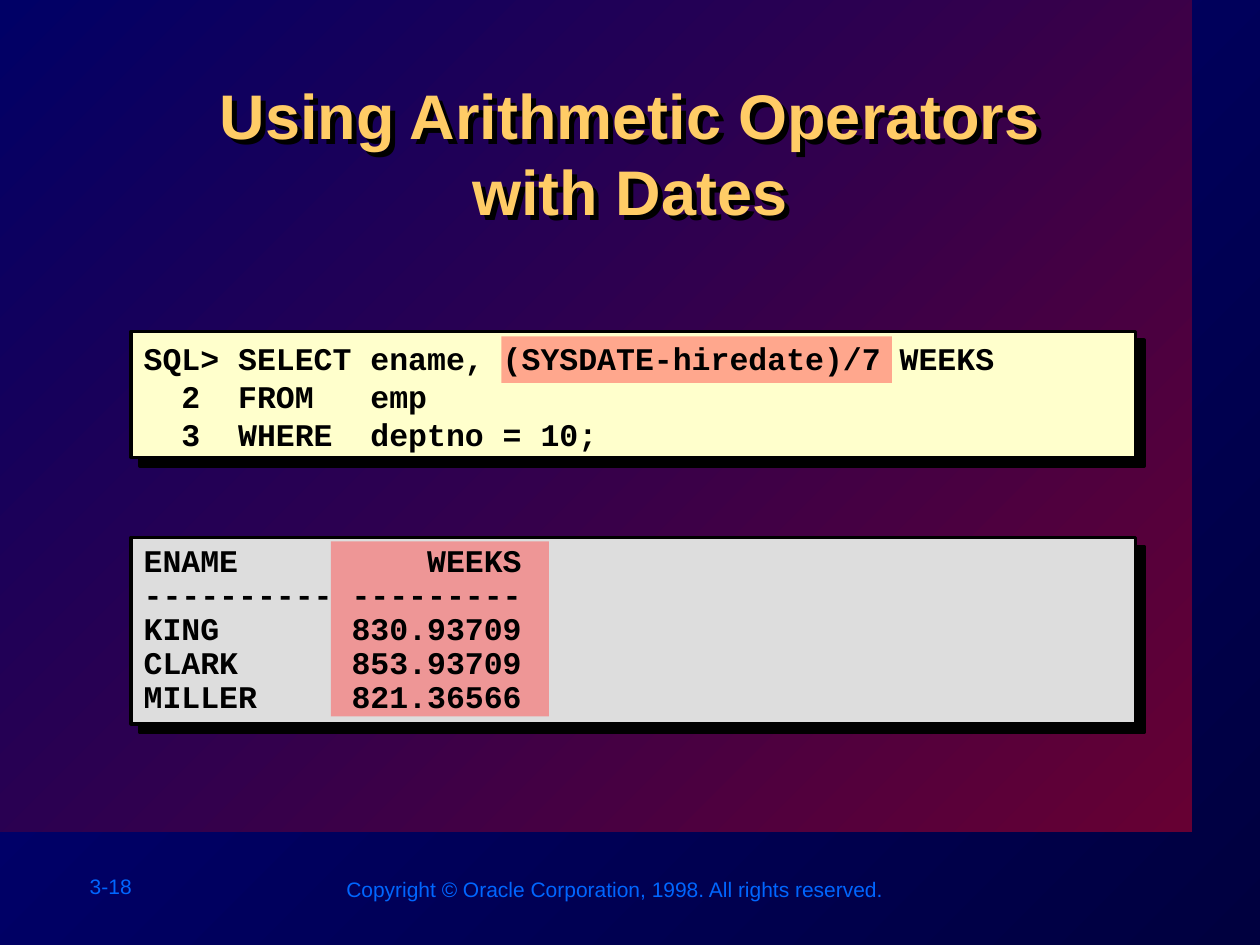
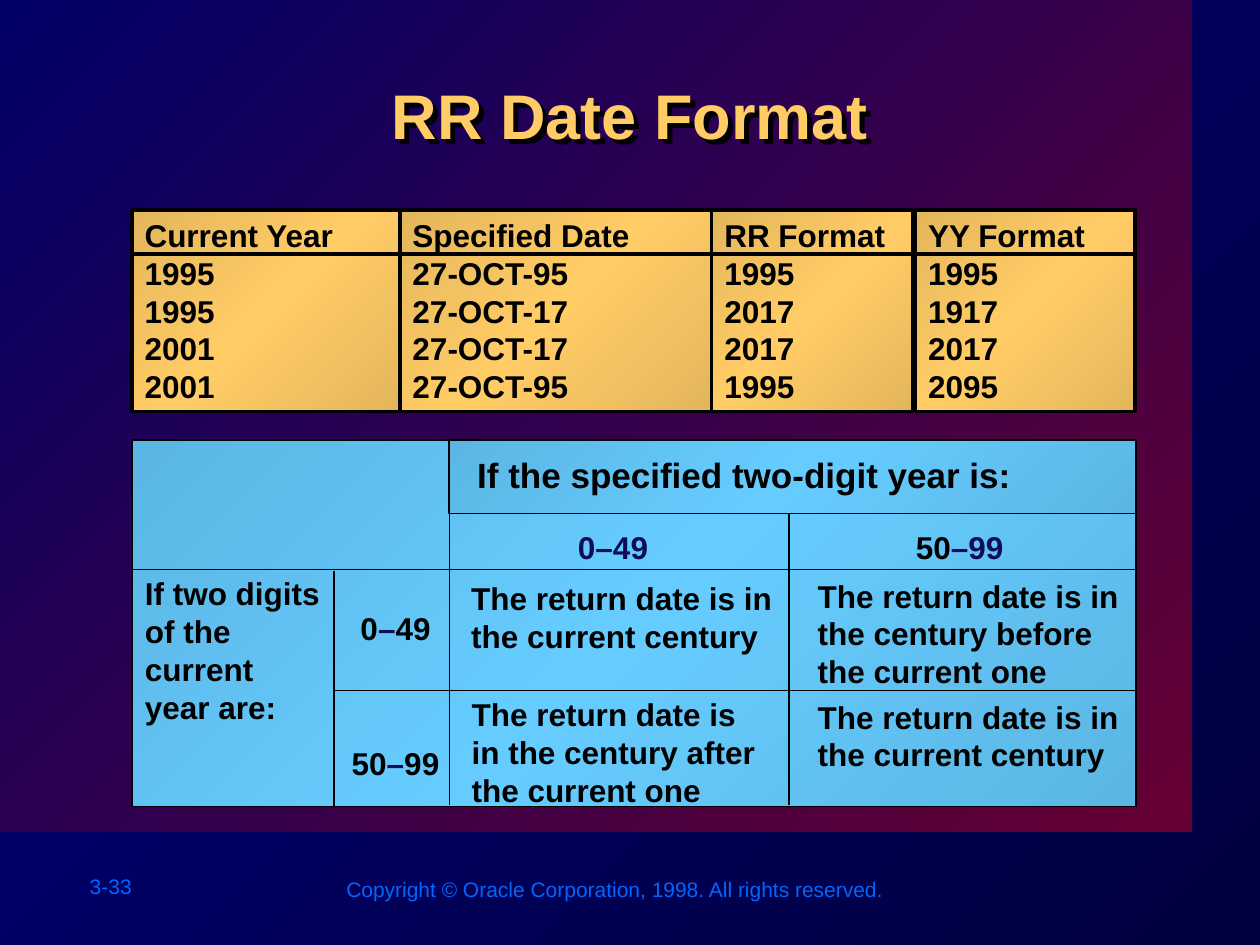
from lxml import etree
from pptx import Presentation
from pptx import util as u
from pptx.dml.color import RGBColor
from pptx.enum import shapes, text
from pptx.oxml.ns import qn

SANS, MONO = "Arial", "Courier New"
BLACK, NAVY, GOLD, FOOTER = "000000", "0E0E58", "FFCC66", "0066FF"
CREAM, GREY, HIGHLIGHT = "FFFFCC", "DDDDDD", "FF5050"
BACKDROP = ("00003F", "000080")
BAND = ("660033", "000066")
GOLD_PANEL = ("E4B65B", "FFCC66", "E4B65B")
BLUE_PANEL = ("5BB6E4", "66CCFF", "5BB6E4")
NO_STYLE = "{2D5ABB26-0587-4C30-8999-92F81FD0307C}"
LEADING = 1.2

COPYRIGHT = "Copyright © Oracle Corporation, 1998. All rights reserved."

QUERY = [
    "SQL> SELECT ename, (SYSDATE-hiredate)/7 WEEKS",
    "  2  FROM   emp",
    "  3  WHERE  deptno = 10;",
]
RESULT = [
    "ENAME          WEEKS",
    "---------- ---------",
    "KING       830.93709",
    "CLARK      853.93709",
    "MILLER     821.36566",
]
# box (left, top, width, height), fill, highlight, text top, line spacing, lines
LISTINGS = [
    ((75, 189.4, 573.8, 72), CREAM, (286.5, 192.2, 223.2, 26.6), 190.3, 1, QUERY),
    ((75, 307.2, 573.8, 106.5), GREY, (189.1, 309.3, 124.6, 100.1), 307.6, 0.9, RESULT),
]

YEARS = [
    ("Current Year", "Specified Date", "RR Format", "YY Format"),
    ("1995", "27-OCT-95", "1995", "1995"),
    ("1995", "27-OCT-17", "2017", "1917"),
    ("2001", "27-OCT-17", "2017", "2017"),
    ("2001", "27-OCT-95", "1995", "2095"),
]
YEARS_LEFT, YEARS_TOP, YEARS_HEIGHT = 75.4, 120, 115.1
YEARS_COLS = (153.1, 178.2, 116.5, 125.3)
YEARS_ROWS = (25.2,) + (21.6,) * 4
DOUBLE_RULE_GAP = 1.6
HEADER_RULE = (74.9, 145.2, 649.2, 145.2)

RULES_LEFT, RULES_TOP, RULES_HEIGHT = 75.6, 251.3, 209.6
RULES_COLS = (115.2, 66, 193.9, 198.7)
RULES_ROWS = (42.2, 32, 69.2, 67.9)
RULES_MERGES = [((0, 0), (1, 1)), ((0, 2), (0, 3)), ((2, 0), (3, 0))]
SAME = "The return date is in the current century"
AFTER = "The return date is in the century after the current one"
BEFORE = "The return date is in the century before the current one"
# (row, column): (runs, size, (left, top, right) margins)
RULES = {
    (0, 2): ([("If the specified two-digit year is:", BLACK)], 20, (15.9, 7.9, 0)),
    (1, 2): ([("0–49", NAVY)], 18, (73.5, 8.2, 0)),
    (1, 3): ([("50", BLACK), ("–99", NAVY)], 18, (72.7, 8.2, 0)),
    (2, 0): ([("If two digits of the current \vyear are:", BLACK)], 18, (7.2, 2.9, 0)),
    (2, 1): ([("0", BLACK), ("–", NAVY), ("49", BLACK)], 18, (15.2, 22.8, 0)),
    (3, 1): ([("50", BLACK), ("–", NAVY), ("99", BLACK)], 18, (10.2, 30.9, 0)),
    (2, 2): ([(SAME, BLACK)], 18, (12.5, 5.8, 2)),
    (2, 3): ([(BEFORE, BLACK)], 18, (16.6, 4.3, 2)),
    (3, 2): ([(AFTER, BLACK)], 18, (12.7, 2.9, 12.5)),
    (3, 3): ([(SAME, BLACK)], 18, (16.6, 4.2, 2)),
}
# x and y of both ends
RULES_LINES = [
    (649.4, 325.4, 74.9, 325.4),
    (190.8, 326.2, 190.8, 461.5),
    (450.7, 293.5, 450.7, 460.1),
    (256.8, 280.8, 256.8, 460.1),
    (191.5, 394.6, 649.4, 394.6),
]


def rgb(value):
    return RGBColor.from_string(value)


def pts(values):
    return [u.Pt(v) for v in values]


def sub(parent, tag, **attrs):
    return etree.SubElement(parent, qn(tag), {k: str(v) for k, v in attrs.items()})


def set_gradient(fill, owner, colors):
    """Spread the colours evenly from bottom right to top left."""
    fill.gradient()
    fill.gradient_angle = 135
    stops = owner.find(".//" + qn("a:gsLst"))
    for old in list(stops):
        stops.remove(old)
    for i, color in enumerate(colors):
        gs = sub(stops, "a:gs", pos=100000 * i // (len(colors) - 1))
        sub(gs, "a:srgbClr", val=color)


def add_shadow(sp, distance):
    sp.shadow.inherit = False
    effects = sp._element.spPr.find(qn("a:effectLst"))
    shadow = sub(effects, "a:outerShdw", blurRad=0, dist=int(u.Pt(distance)),
                 dir=2700000, algn="ctr", rotWithShape=0)
    sub(shadow, "a:srgbClr", val=BLACK)


def add_panel(s, box, fill, line=0, alpha=None):
    sp = s.shapes.add_shape(shapes.MSO_SHAPE.RECTANGLE, *pts(box))
    sp.shadow.inherit = False
    if isinstance(fill, tuple):
        set_gradient(sp.fill, sp._element.spPr, fill)
    else:
        sp.fill.solid()
        sp.fill.fore_color.rgb = rgb(fill)
    if alpha:
        clr = sp._element.spPr.find(qn("a:solidFill")).find(qn("a:srgbClr"))
        sub(clr, "a:alpha", val=alpha * 1000)
    if line:
        sp.line.color.rgb = rgb(BLACK)
        sp.line.width = u.Pt(line)
    else:
        sp.line.fill.background()
    return sp


def add_line(s, ends, width):
    line = s.shapes.add_connector(shapes.MSO_CONNECTOR.STRAIGHT, *pts(ends))
    line.line.color.rgb = rgb(BLACK)
    line.line.width = u.Pt(width)
    sub(line._element.spPr, "a:effectLst")


def format_paragraph(p, size, color, font=SANS, bold=True, spacing=1):
    p.line_spacing = u.Pt(round(size * LEADING * spacing, 2))
    p.font.name, p.font.size, p.font.bold = font, u.Pt(size), bold
    if color:
        p.font.color.rgb = rgb(color)


def add_text(s, box, lines, size, color, **style):
    tf = s.shapes.add_textbox(*pts(box)).text_frame
    tf.word_wrap = True
    for i, line in enumerate(lines):
        p = tf.paragraphs[0] if i == 0 else tf.add_paragraph()
        p.text = line
        format_paragraph(p, size, color, **style)


def add_slide(prs, title, number):
    s = prs.slides.add_slide(prs.slide_layouts[5])
    band = add_panel(s, (0, 0, 681.1, 475.3), BAND)
    s.shapes._spTree.insert(2, band._element)
    add_text(s, (44.2, 495.4, 79.9, 21.6), [number], 12, FOOTER, bold=False)
    add_text(s, (190.8, 497.2, 330, 21.6), [COPYRIGHT], 12, FOOTER, bold=False)

    sp = s.shapes.title
    sp.left, sp.top, sp.width, sp.height = pts((72.7, 40.3, 574.6, 69.1))
    sp.fill.background()
    add_shadow(sp, 4)
    tf = sp.text_frame
    tf.auto_size = text.MSO_AUTO_SIZE.NONE
    tf.vertical_anchor = text.MSO_ANCHOR.TOP
    p = tf.paragraphs[0]
    p.text = title
    p.alignment = text.PP_ALIGN.CENTER
    format_paragraph(p, 36, GOLD)
    return s


def add_bare_table(s, left, top, cols, rows):
    """Add a table without style, for laying over a gradient panel."""
    box = pts((left, top, sum(cols), sum(rows)))
    tbl = s.shapes.add_table(len(rows), len(cols), *box).table
    tbl.first_row = tbl.horz_banding = False
    tbl._tbl.tblPr.find(qn("a:tableStyleId")).text = NO_STYLE
    for col, width in zip(tbl.columns, cols):
        col.width = u.Pt(width)
    for row, height in zip(tbl.rows, rows):
        row.height = u.Pt(height)
    return tbl


def format_cell(cell, margins):
    cell.margin_left, cell.margin_top, cell.margin_right = pts(margins)
    cell.margin_bottom = 0
    cell.fill.background()


def add_years_table(s):
    left = YEARS_LEFT
    last = len(YEARS_COLS) - 1
    for c, width in enumerate(YEARS_COLS):
        gap = DOUBLE_RULE_GAP if c == last - 1 else 0
        add_panel(s, (left, YEARS_TOP, width - gap, YEARS_HEIGHT), GOLD_PANEL, line=2)
        left += width
    tbl = add_bare_table(s, YEARS_LEFT, YEARS_TOP, YEARS_COLS, YEARS_ROWS)
    for r, row in enumerate(YEARS):
        for c, value in enumerate(row):
            cell = tbl.cell(r, c)
            format_cell(cell, (7.2, 0 if r else 3.6, 0))
            p = cell.text_frame.paragraphs[0]
            p.text = value
            format_paragraph(p, 18, BLACK)
    add_line(s, HEADER_RULE, 2)


def add_rules_table(s):
    add_panel(s, (RULES_LEFT, RULES_TOP, sum(RULES_COLS), RULES_HEIGHT),
              BLUE_PANEL, line=1)
    add_panel(s, (RULES_LEFT + sum(RULES_COLS[:2]), RULES_TOP,
                  sum(RULES_COLS[2:]), RULES_ROWS[0]), BLUE_PANEL, line=1)
    tbl = add_bare_table(s, RULES_LEFT, RULES_TOP, RULES_COLS, RULES_ROWS)
    for first, final in RULES_MERGES:
        tbl.cell(*first).merge(tbl.cell(*final))
    for r in range(len(RULES_ROWS)):
        for c in range(len(RULES_COLS)):
            cell = tbl.cell(r, c)
            runs, size, margins = RULES.get((r, c), ([], 18, (0, 0, 0)))
            format_cell(cell, margins)
            p = cell.text_frame.paragraphs[0]
            format_paragraph(p, size, None)
            for value, color in runs:
                for i, part in enumerate(value.split("\v")):
                    if i:
                        p.add_line_break()
                    run = p.add_run()
                    run.text = part
                    run.font.color.rgb = rgb(color)
    for ends in RULES_LINES:
        add_line(s, ends, 1)


def main():
    prs = Presentation()
    prs.slide_width, prs.slide_height = pts((720, 540))
    master = prs.slide_master
    set_gradient(master.background.fill, master._element, BACKDROP)

    s = add_slide(prs, "Using Arithmetic Operators\vwith Dates", "3-18")
    for box, fill, highlight, text_top, spacing, lines in LISTINGS:
        add_shadow(add_panel(s, box, fill, line=2), 7.1)
        add_panel(s, highlight, HIGHLIGHT, alpha=50)
        left, _, width, height = box
        add_text(s, (left, text_top, width, height), lines, 18, BLACK,
                 font=MONO, spacing=spacing)

    s = add_slide(prs, "RR Date Format", "3-33")
    add_years_table(s)
    add_rules_table(s)
    prs.save("out.pptx")


if __name__ == "__main__":
    main()
